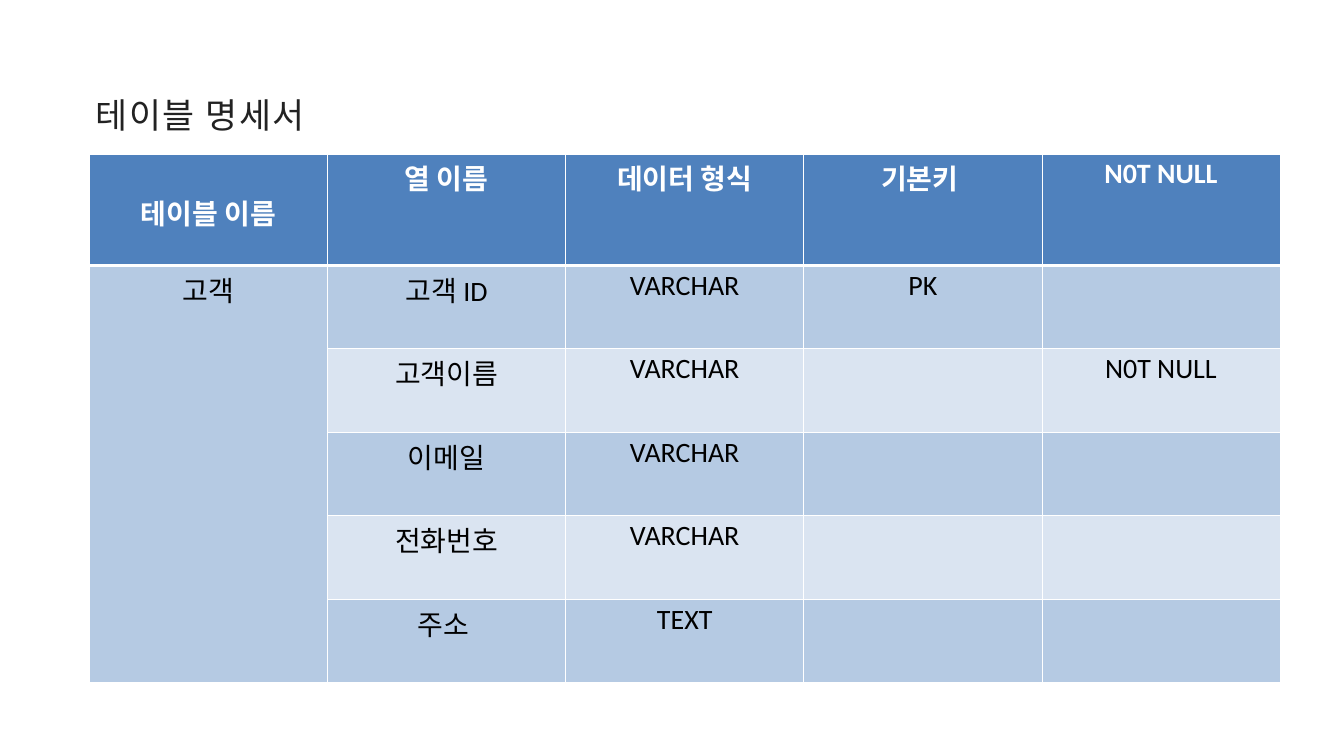
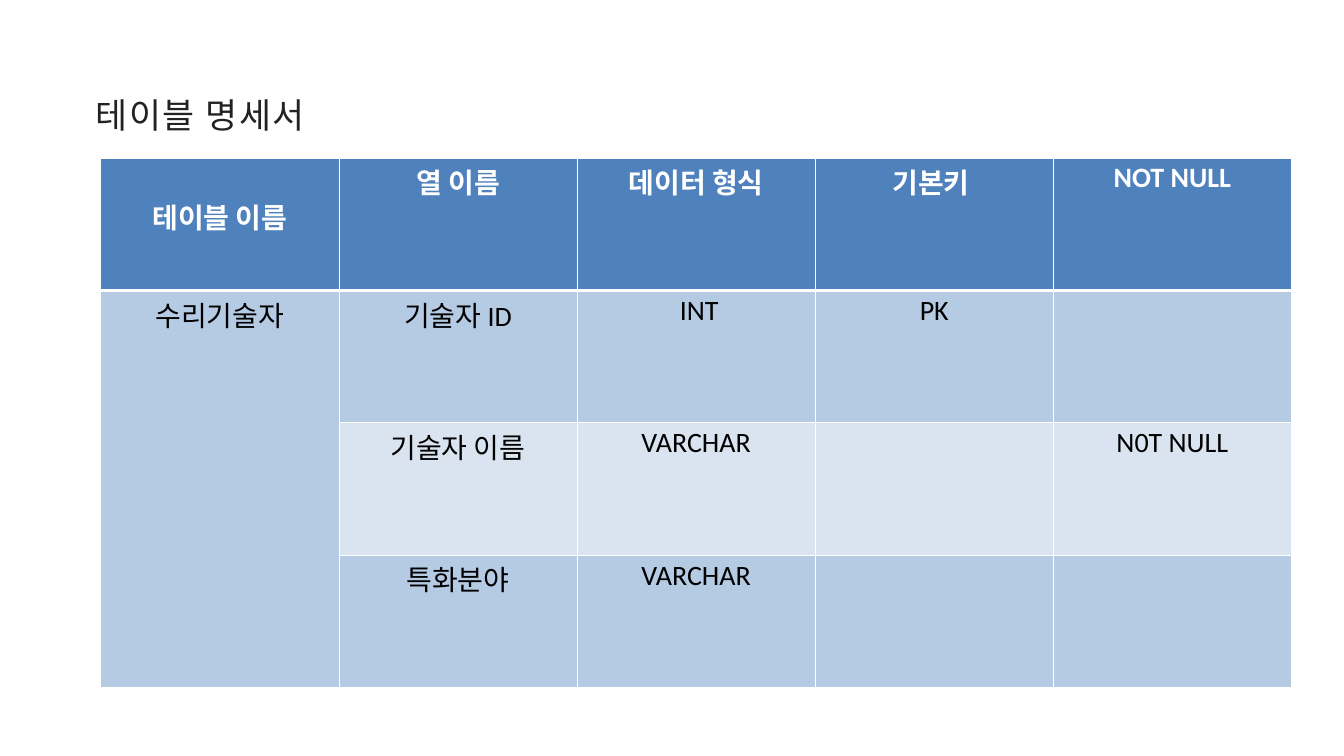
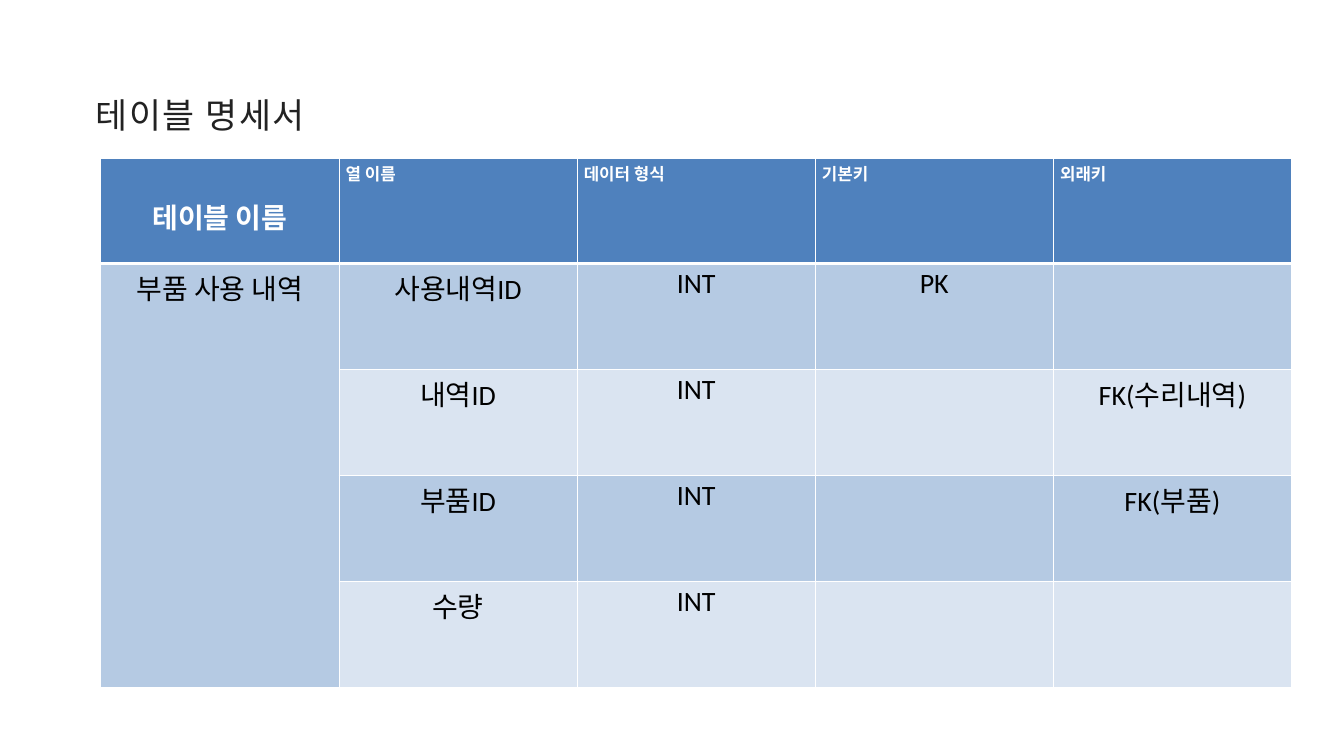
import dataclasses

import pptx
import pptx.dml.color
import pptx.enum.text
import pptx.oxml
import pptx.oxml.ns
import pptx.util

PX = 9144
ALIGN = pptx.enum.text.PP_ALIGN


@dataclasses.dataclass(frozen=True)
class Theme:
    head: str = "4F81BD"
    dark: str = "B5CAE3"
    light: str = "DAE4F1"
    white: str = "FFFFFF"
    black: str = "000000"
    ink: str = "222222"
    latin: str = "Calibri"
    hangul: str = "Noto Sans CJK KR"
    title: float = 37.3
    lead: float = 51.9
    space: int = 170
    text: int = 30
    small: int = 18
    thin: int = 1
    thick: int = 3


THEME = Theme()
TITLE = (142, 129, 425, 72)
DROP = 57

TABLES = [
    dict(
        box=(133, 229, 1772, 787),
        top=166,
        heads=["테이블 이름", "열 이름", "데이터 형식", "기본키 ", "N0T NULL"],
        name="고객",
        rows=[
            ["고객 ID", "VARCHAR", "PK", ""],
            ["고객이름", "VARCHAR", "", "N0T NULL"],
            ["이메일", "VARCHAR", "", ""],
            ["전화번호", "VARCHAR", "", ""],
            ["주소 ", "TEXT", "", ""],
        ],
    ),
    dict(
        box=(150, 235, 1772, 788),
        top=197,
        heads=["테이블 이름", "열 이름", "데이터 형식", "기본키 ", "NOT NULL"],
        name="수리기술자",
        rows=[
            ["기술자 ID", " INT", "PK", ""],
            ["기술자 이름", "VARCHAR", "", "N0T NULL"],
            ["특화분야", "VARCHAR", "", ""],
        ],
    ),
    dict(
        box=(150, 235, 1772, 788),
        top=157,
        heads=["테이블 이름", "열 이름", "데이터 형식", "기본키", "외래키"],
        name="부품 사용 내역",
        rows=[
            ["사용내역ID", "INT", "PK", ""],
            ["내역ID", "INT", "", "FK(수리내역)"],
            ["부품ID", "INT", "", "FK(부품)"],
            ["수량", "INT", "", ""],
        ],
        small=True,
    ),
]


def scale(box):
    return [n * PX for n in box]


def tint(name):
    return pptx.dml.color.RGBColor.from_string(name)


def add_run(para, text, size, color, face, bold=False):
    run = para.add_run()
    run.text = text
    font = run.font
    font.size = pptx.util.Pt(size)
    font.bold = bold
    font.color.rgb = tint(color)
    font.name = face
    props = run._r.get_or_add_rPr()
    east = pptx.oxml.ns.qn("a:ea")
    props.append(props.makeelement(east, {"typeface": THEME.hangul}))
    return run


def draw_title(slide, box, text):
    shape = slide.shapes.title
    shape.left, shape.top, shape.width, shape.height = scale(box)
    frame = shape.text_frame
    frame.margin_left = frame.margin_right = 0
    frame.margin_top = frame.margin_bottom = 0
    frame.word_wrap = True
    frame.vertical_anchor = pptx.enum.text.MSO_ANCHOR.TOP
    frame.auto_size = pptx.enum.text.MSO_AUTO_SIZE.SHAPE_TO_FIT_TEXT
    para = frame.paragraphs[0]
    para.alignment = ALIGN.JUSTIFY
    para.line_spacing = pptx.util.Pt(THEME.lead)
    run = add_run(para, text, THEME.title, THEME.ink, THEME.hangul)
    run._r.get_or_add_rPr().set("spc", str(THEME.space))


def add_edge(cell, side, width):
    space = pptx.oxml.ns.nsdecls("a")
    line = pptx.oxml.parse_xml(
        f'<a:ln{side} {space} w="{pptx.util.Pt(width)}"><a:solidFill>'
        f'<a:srgbClr val="{THEME.white}"/></a:solidFill></a:ln{side}>'
    )
    cell._tc.get_or_add_tcPr().append(line)


def style_cell(cell, row):
    for side in "LRTB":
        joint = (row, side) in ((0, "B"), (1, "T"))
        add_edge(cell, side, THEME.thick if joint else THEME.thin)
    band = THEME.dark if row % 2 else THEME.light
    cell.fill.solid()
    cell.fill.fore_color.rgb = tint(band if row else THEME.head)


def fill_cell(cell, text, color, size=THEME.text, align=ALIGN.CENTER, bold=False):
    para = cell.text_frame.paragraphs[0]
    para.alignment = align
    if text:
        add_run(para, text, size, color, THEME.latin, bold)


def draw_table(slide, box, top, heads, name, rows, small=False):
    count = len(rows)
    frame = slide.shapes.add_table(count + 1, len(heads), *scale(box))
    table = frame.table
    for col in table.columns:
        col.width = box[2] * PX // len(heads)
    for i, line in enumerate(table.rows):
        line.height = (box[3] - top) * PX // count if i else top * PX
        for cell in line.cells:
            style_cell(cell, i)

    for j, text in enumerate(heads):
        tiny = small and j > 0
        size = THEME.small if tiny else THEME.text
        align = ALIGN.LEFT if tiny else ALIGN.CENTER
        fill_cell(table.cell(0, j), text, THEME.white, size, align, True)
    table.cell(0, 0).margin_top = DROP * PX

    table.cell(1, 0).merge(table.cell(count, 0))
    fill_cell(table.cell(1, 0), name, THEME.black)
    for i, row in enumerate(rows, 1):
        for j, text in enumerate(row, 1):
            fill_cell(table.cell(i, j), text, THEME.black)


def main():
    deck = pptx.Presentation()
    deck.slide_width, deck.slide_height = scale((2000, 1125))
    for data in TABLES:
        slide = deck.slides.add_slide(deck.slide_layouts[5])
        draw_title(slide, TITLE, "테이블 명세서")
        draw_table(slide, **data)
    deck.save("out.pptx")


if __name__ == "__main__":
    main()
